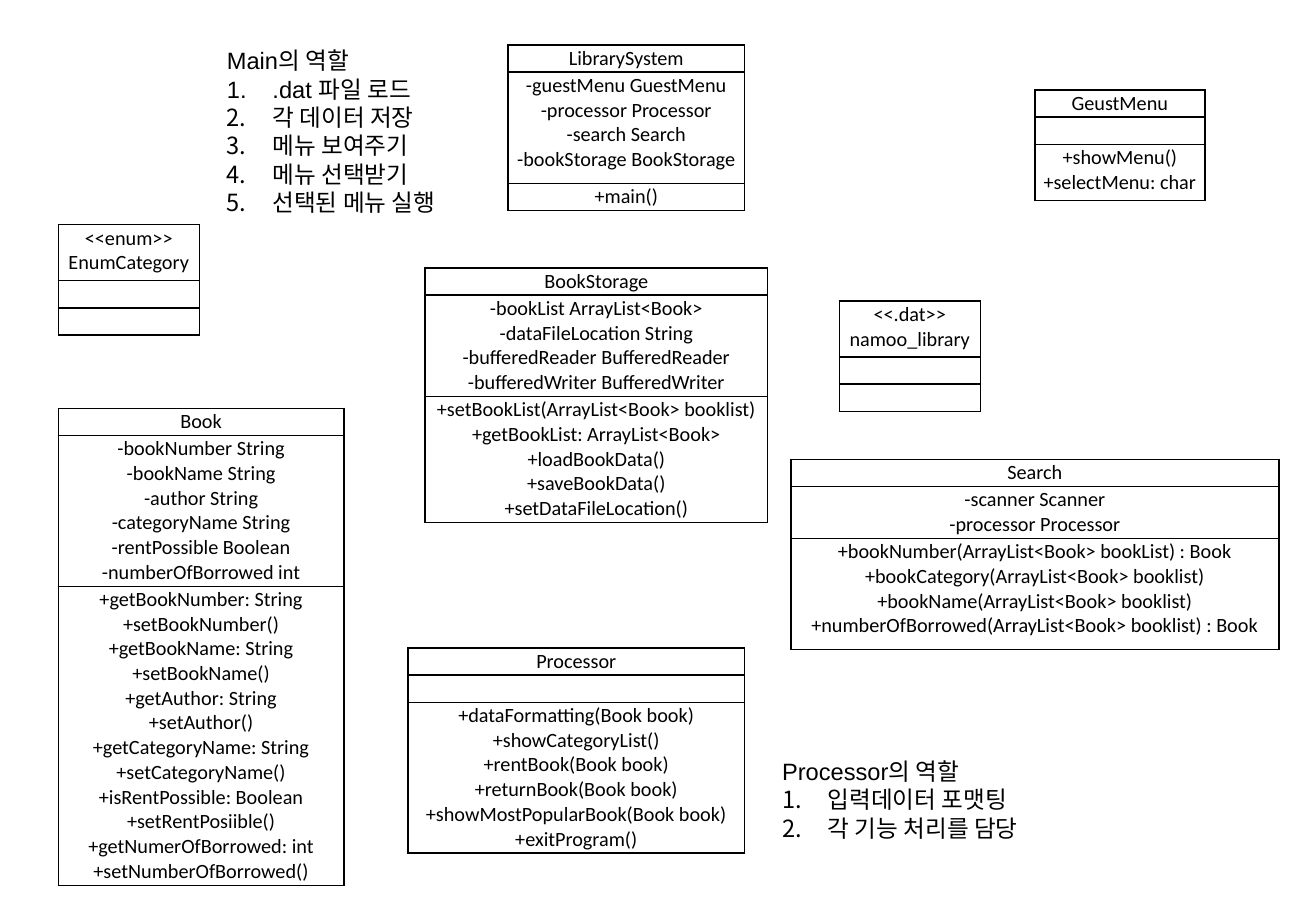
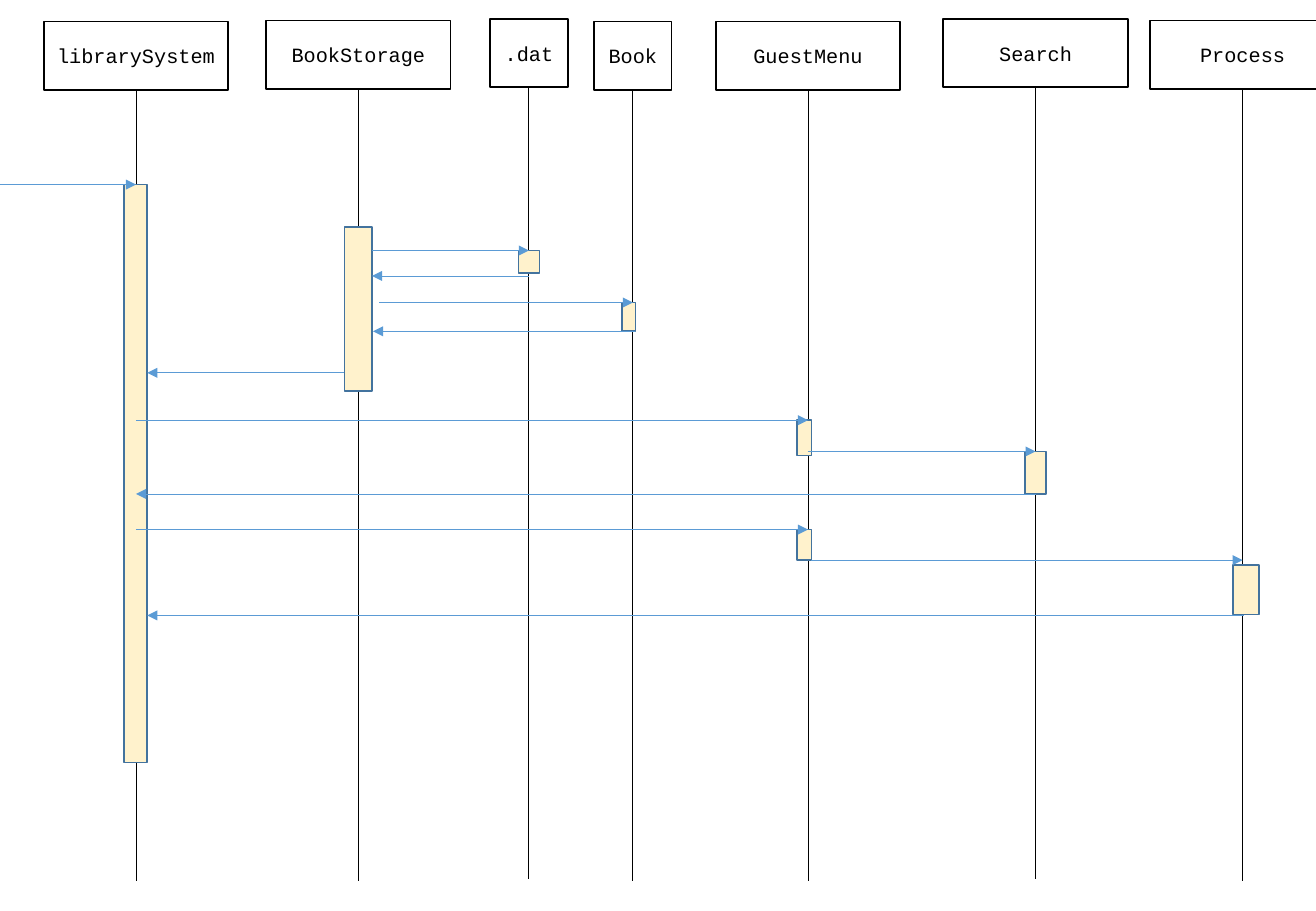
from dataclasses import dataclass

from lxml.etree import SubElement
from pptx import Presentation
from pptx.dml.color import RGBColor
from pptx.enum.shapes import MSO_CONNECTOR, MSO_SHAPE
from pptx.enum.text import MSO_ANCHOR, PP_ALIGN
from pptx.oxml.ns import qn
from pptx.util import Pt


@dataclass(frozen=True)
class Theme:
    """Colours, fonts and sizes shared by both slides."""
    ink: str = "000000"
    bar_fill: str = "FFF2CC"
    bar_line: str = "43739E"
    arrow: str = "5B9BD5"
    class_font: str = "Calibri"
    note_font: str = "Arial"
    code_font: str = "Courier New"
    body_size: float = 12
    note_size: float = 14
    outline: float = 1
    hairline: float = 0.5
    line_height: float = 14.65
    cell_padding: float = 1.5


@dataclass(frozen=True)
class Box:
    """A rectangle in points."""
    left: float
    top: float
    width: float
    height: float = 0

    def lengths(self):
        """Return the four lengths as Pt values."""
        return Pt(self.left), Pt(self.top), Pt(self.width), Pt(self.height)


THEME = Theme()
SLIDE = Box(0, 0, 780, 540)

CLASSES = [
    (Box(34.6, 242, 169.2), (
        ["Book"],
        ["-bookNumber String", "-bookName String", "-author String",
         "-categoryName String", "-rentPossible Boolean", "-numberOfBorrowed int"],
        ["+getBookNumber: String", "+setBookNumber()", "+getBookName: String",
         "+setBookName()", "+getAuthor: String", "+setAuthor()",
         "+getCategoryName: String", "+setCategoryName()",
         "+isRentPossible: Boolean", "+setRentPosiible()",
         "+getNumerOfBorrowed: int", "+setNumberOfBorrowed()"]), (0, 0, 0)),
    (Box(34.6, 133.2, 83.5), (["<<enum>>", "EnumCategory"], [], []), (33.2, 0, 0)),
    (Box(613.4, 53.3, 100.8), (
        ["GeustMenu"], [], ["+showMenu()", "+selectMenu: char"]), (0, 0, 33.2)),
    (Box(468.7, 272.2, 289.4), (
        ["Search"],
        ["-scanner Scanner", "-processor Processor"],
        ["+bookNumber(ArrayList<Book> bookList) : Book",
         "+bookCategory(ArrayList<Book> booklist)",
         "+bookName(ArrayList<Book> booklist)",
         "+numberOfBorrowed(ArrayList<Book> booklist) : Book"]), (0, 0, 66)),
    (Box(252, 158.8, 203), (
        ["BookStorage"],
        ["-bookList ArrayList<Book>", "-dataFileLocation String",
         "-bufferedReader BufferedReader", "-bufferedWriter BufferedWriter"],
        ["+setBookList(ArrayList<Book> booklist)", "+getBookList: ArrayList<Book>",
         "+loadBookData()", "+saveBookData()", "+setDataFileLocation()"]), (0, 0, 0)),
    (Box(301, 26.6, 140.4), (
        ["LibrarySystem"],
        ["-guestMenu GuestMenu", "-processor Processor", "-search Search",
         "-bookStorage BookStorage"],
        ["+main()"]), (0, 66, 0)),
    (Box(241.8, 384, 199.6), (
        ["Processor"], [],
        ["+dataFormatting(Book book)", "+showCategoryList()", "+rentBook(Book book)",
         "+returnBook(Book book)", "+showMostPopularBook(Book book)",
         "+exitProgram()"]), (0, 0, 0)),
    (Box(497.5, 178.4, 83.5), (["<<.dat>>", "namoo_library"], [], []), (33.2, 0, 0)),
]

NOTES = [
    (Box(127.4, 23.8, 159.8, 108.7), "Main의 역할",
     [".dat 파일 로드", "각 데이터 저장", "메뉴 보여주기", "메뉴 선택받기", "선택된 메뉴 실행"]),
    (Box(456.5, 445, 182.9, 58.3), "Processor의 역할",
     ["입력데이터 포맷팅", "각 기능 처리를 담당"]),
]

WIDE, NARROW, HEAD_HEIGHT, LIFELINE_LENGTH = 109.4, 46, 40.5, 469.3

PARTICIPANTS = [
    ("librarySystem", 80.6, 12.7, WIDE),
    ("BookStorage", 212.4, 12.2, WIDE),
    ("Book", 375.1, 12.7, NARROW),
    ("GuestMenu", 478.9, 12.7, WIDE),
    ("Search", 613.8, 11.2, WIDE),
    ("Process", 736.5, 12.2, WIDE),
    (".dat", 313.5, 11.2, NARROW),
]

ACTIVATIONS = [
    ("BookStorage", 0, 134.6, 16.3, 97.2),
    (".dat", 0, 148.5, 12.5, 13.5),
    ("Book", -2.4, 179.3, 8, 17),
    ("GuestMenu", -2.2, 249.1, 8.6, 21),
    ("Search", 0, 267.6, 12.3, 25.4),
    ("librarySystem", -0.2, 109.4, 13.7, 342.7),
    ("GuestMenu", -2.2, 313.9, 8.6, 18),
    ("Process", 2, 334.8, 15.3, 29.6),
]

MESSAGES = [
    ("edge", 0, "librarySystem", 0, 109.4),
    ("librarySystem", 0, "GuestMenu", 0, 249.1),
    ("BookStorage", 8.1, ".dat", 0, 148.5),
    (".dat", 0, "BookStorage", 8.1, 163.6),
    ("BookStorage", 12.4, "Book", 0, 179.3),
    ("Book", 1.5, "BookStorage", 8.7, 196.4),
    ("BookStorage", -8.4, "librarySystem", 6.7, 221),
    ("GuestMenu", 0, "Search", 0, 267.6),
    ("Process", 0.8, "librarySystem", 6.7, 364.8),
    ("librarySystem", 0, "GuestMenu", 0, 313.9),
    ("GuestMenu", 2, "Process", 0, 332),
    ("Search", 0, "librarySystem", 0, 292.8),
]


def color(code):
    """Turn a hex code into a colour."""
    return RGBColor.from_string(code)


def write(para, text, font, size):
    """Add one styled run to a paragraph."""
    span = para.add_run()
    span.text = text
    span.font.name = font
    span.font.size = Pt(size)
    span.font.color.rgb = color(THEME.ink)


def border_cell(cell):
    """Draw the four borders of an unfilled cell."""
    properties = cell._tc.get_or_add_tcPr()
    for side in ("a:lnL", "a:lnR", "a:lnT", "a:lnB"):
        line = SubElement(properties, qn(side), w=str(Pt(THEME.outline)))
        fill = SubElement(line, qn("a:solidFill"))
        SubElement(fill, qn("a:srgbClr"), val=THEME.ink)
    cell.fill.background()


def fill_cell(cell, lines):
    """Write centred lines into one compartment of a class."""
    cell.margin_left = cell.margin_right = Pt(1.4)
    cell.margin_top = cell.margin_bottom = Pt(0.7)
    border_cell(cell)
    frame = cell.text_frame
    for index, text in enumerate(lines):
        para = frame.add_paragraph() if index else frame.paragraphs[0]
        para.alignment = PP_ALIGN.CENTER
        write(para, text, THEME.class_font, THEME.body_size)
    if not lines:
        SubElement(frame.paragraphs[0]._p, qn("a:endParaRPr"),
                   sz=str(int(THEME.body_size * 100)))


def add_class(page, box, compartments, least_heights):
    """Add a class as a one-column table of three compartments."""
    heights = [max(least, max(len(lines), 1) * THEME.line_height + THEME.cell_padding)
               for lines, least in zip(compartments, least_heights)]
    area = Box(box.left, box.top, box.width, sum(heights))
    table = page.shapes.add_table(len(heights), 1, *area.lengths()).table
    table.first_row = table.horz_banding = False
    for index, (lines, height) in enumerate(zip(compartments, heights)):
        table.rows[index].height = Pt(height)
        fill_cell(table.cell(index, 0), lines)


def add_note(page, box, heading, items):
    """Add a heading with a numbered list below it."""
    frame = page.shapes.add_textbox(*box.lengths()).text_frame
    frame.word_wrap = True
    write(frame.paragraphs[0], heading, THEME.note_font, THEME.note_size)
    for item in items:
        para = frame.add_paragraph()
        properties = para._p.get_or_add_pPr()
        properties.set("marL", str(Pt(27)))
        properties.set("indent", str(Pt(-27)))
        SubElement(properties, qn("a:buAutoNum"), type="arabicPeriod")
        write(para, item, THEME.note_font, THEME.note_size)


def add_rectangle(page, box, line, fill=None):
    """Add an outlined rectangle, filled on request."""
    shape = page.shapes.add_shape(MSO_SHAPE.RECTANGLE, *box.lengths())
    shape.shadow.inherit = False
    shape.line.color.rgb = color(line)
    shape.line.width = Pt(THEME.outline)
    if fill:
        shape.fill.solid()
        shape.fill.fore_color.rgb = color(fill)
    else:
        shape.fill.background()
    return shape


def add_line(page, start, end, line, arrow=False):
    """Add a thin straight line, with an arrowhead on request."""
    connector = page.shapes.add_connector(
        MSO_CONNECTOR.STRAIGHT, *(Pt(value) for value in (*start, *end)))
    connector.line.color.rgb = color(line)
    connector.line.width = Pt(THEME.hairline)
    if arrow:
        SubElement(connector.line._get_or_add_ln(), qn("a:tailEnd"), type="triangle")
    SubElement(connector._element.spPr, qn("a:effectLst"))


def add_participant(page, box, name):
    """Add a named head with its lifeline below."""
    frame = add_rectangle(page, box, THEME.ink).text_frame
    frame.word_wrap = False
    frame.vertical_anchor = MSO_ANCHOR.MIDDLE
    frame.paragraphs[0].alignment = PP_ALIGN.CENTER
    write(frame.paragraphs[0], name, THEME.code_font, THEME.body_size)
    centre, bottom = box.left + box.width / 2, box.top + box.height
    add_line(page, (centre, bottom), (centre, bottom + LIFELINE_LENGTH), THEME.ink)


def build_class_slide(page, area):
    """Place the classes and the role notes."""
    for box, compartments, least_heights in CLASSES:
        placed = Box(area.left + box.left, area.top + box.top, box.width)
        add_class(page, placed, compartments, least_heights)
    for box, heading, items in NOTES:
        placed = Box(area.left + box.left, area.top + box.top, box.width, box.height)
        add_note(page, placed, heading, items)


def build_sequence_slide(page, area):
    """Place participants, activation bars and messages."""
    centres = {"edge": area.left}
    for name, centre, top, width in PARTICIPANTS:
        centres[name] = area.left + centre
        head = Box(centres[name] - width / 2, area.top + top, width, HEAD_HEIGHT)
        add_participant(page, head, name)
    for name, shift, top, width, height in ACTIVATIONS:
        bar = Box(centres[name] + shift - width / 2, area.top + top, width, height)
        add_rectangle(page, bar, THEME.bar_line, THEME.bar_fill)
    for sender, sender_shift, receiver, receiver_shift, top in MESSAGES:
        level = area.top + top
        add_line(page, (centres[sender] + sender_shift, level),
                 (centres[receiver] + receiver_shift, level), THEME.arrow, arrow=True)


def main():
    """Build and save the deck."""
    deck = Presentation()
    deck.slide_width, deck.slide_height = Pt(SLIDE.width), Pt(SLIDE.height)
    for build in (build_class_slide, build_sequence_slide):
        build(deck.slides.add_slide(deck.slide_layouts[6]), SLIDE)
    deck.save("out.pptx")


if __name__ == "__main__":
    main()
